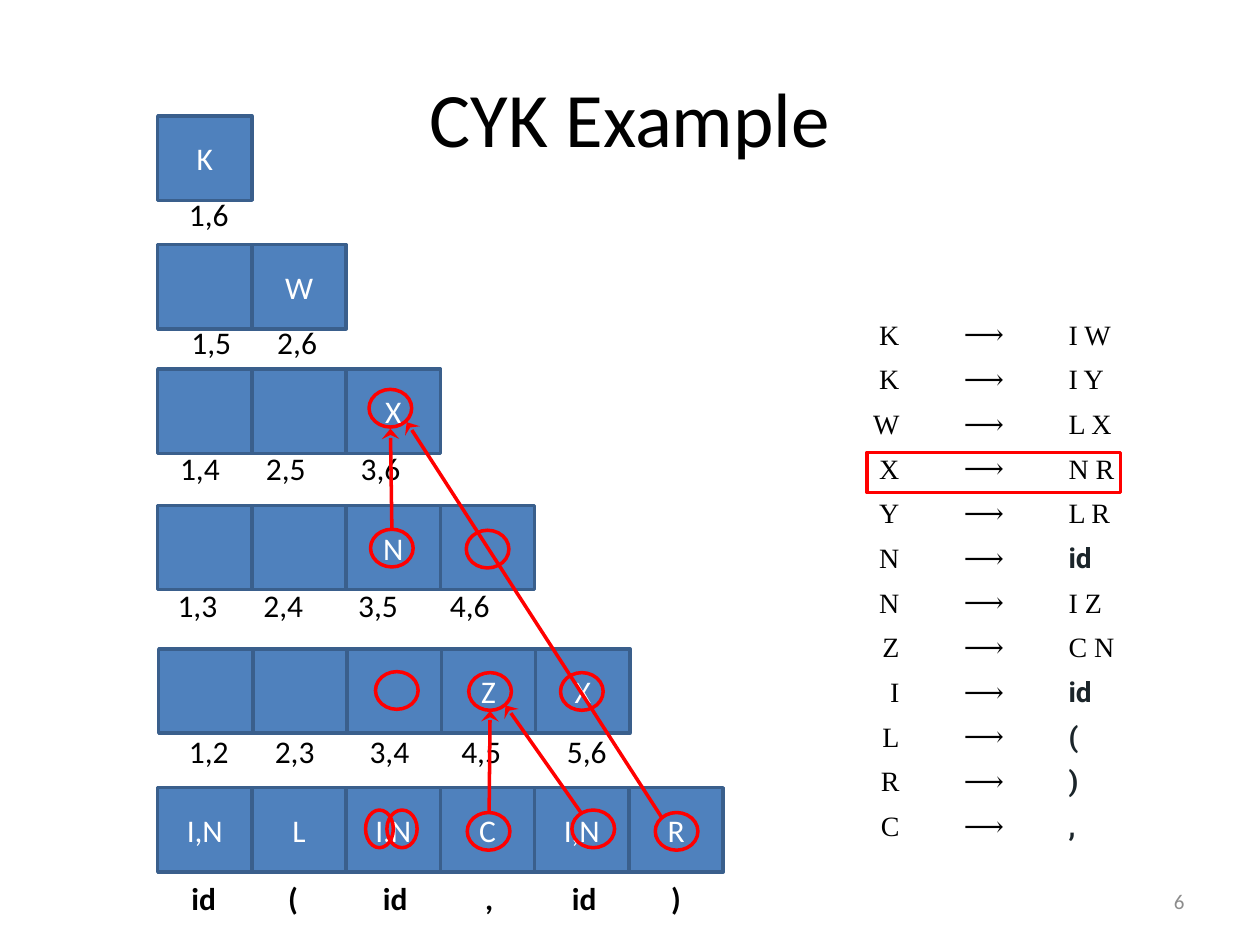
import pptx
import pptx.dml.color
import pptx.enum.shapes
import pptx.enum.text
import pptx.oxml.ns
import pptx.util
import lxml.etree

Cm = pptx.util.Cm
Pt = pptx.util.Pt
ALIGN = pptx.enum.text.PP_ALIGN
SHAPE = pptx.enum.shapes.MSO_SHAPE
MIDDLE = pptx.enum.text.MSO_ANCHOR.MIDDLE

CELL_WIDTH = 1.9
LABEL_OFFSETS = [0, 1.73, 3.64, 5.49, 7.62]

CHART_ROWS = [
    (["I,N", "L", "I,N", "C", "I,N", "R"], 3.18, 15.88, None, None),
    (["", "", "", "Z", "X"], 3.2, 13.08, 3.56, 14.63),
    (["", "", "N", ""], 3.18, 10.19, 3.33, 11.68),
    (["", "", "X"], 3.18, 7.44, 3.38, 8.92),
    (["", "W"], 3.18, 4.93, 3.61, 6.38),
    (["K"], 3.18, 2.34, 3.56, 3.81),
]
SENTENCE = [("id", 3.61, 1.02), ("(", 5.56, 0.71), ("id", 7.47, 1.02),
            (",", 9.53, 0.69), ("id", 11.28, 1.02), (")", 13.28, 0.71)]
GRAMMAR = [("K", "I W"), ("K", "I Y"), ("W", "L X"), ("X", "N R"),
           ("Y", "L R"), ("N", "id"), ("N", "I Z"), ("Z", "C N"),
           ("I", "id"), ("L", "("), ("R", ")"), ("C", ",")]
TERMINALS = {"id", "(", ")", ","}


def color(hex_string):
    return pptx.dml.color.RGBColor.from_string(hex_string)


class CykSlide:
    black, white, grey, ink = "000000", "FFFFFF", "8C8C8C", "1B252A"
    cell_fill, cell_edge, mark = "4F81BD", "3A5F8C", "FF0000"
    font = "Calibri"

    def __init__(self, slide):
        self.slide = slide
        self.canvas = slide.shapes

    def set_text(self, frame, text, size, ink, align, font=None, bold=False):
        frame.text = text
        paragraph = frame.paragraphs[0]
        paragraph.alignment = align
        for run in paragraph.runs:
            run.font.size = Pt(size)
            run.font.name = font or self.font
            run.font.bold = bold
            run.font.color.rgb = color(ink)

    def text(self, text, left, top, width, height, size, ink, align):
        frame = self.canvas.add_textbox(Cm(left), Cm(top), Cm(width), Cm(height)).text_frame
        frame.word_wrap = True
        frame.vertical_anchor = MIDDLE
        self.set_text(frame, text, size, ink, align)

    def label(self, text, left, top, width=1.32, bold=False):
        frame = self.canvas.add_textbox(Cm(left), Cm(top), Cm(width), Cm(1.02)).text_frame
        frame.word_wrap = False
        frame.auto_size = pptx.enum.text.MSO_AUTO_SIZE.SHAPE_TO_FIT_TEXT
        self.set_text(frame, text, 18, self.black, ALIGN.LEFT, bold=bold)

    def outline(self, kind, left, top, width, height, edge):
        shape = self.canvas.add_shape(kind, Cm(left), Cm(top), Cm(width), Cm(height))
        shape.shadow.inherit = False
        shape.fill.background()
        shape.line.color.rgb = color(edge)
        shape.line.width = Pt(2)
        return shape

    def cell(self, text, left, top):
        box = self.outline(SHAPE.RECTANGLE, left, top, CELL_WIDTH, 1.7, self.cell_edge)
        box.fill.solid()
        box.fill.fore_color.rgb = color(self.cell_fill)
        if text:
            box.text_frame.vertical_anchor = MIDDLE
            self.set_text(box.text_frame, text, 18, self.white, ALIGN.CENTER)

    def ring(self, left, top, width=0.86):
        self.outline(SHAPE.OVAL, left, top, width, 0.76, self.mark)

    def arrow(self, start, end):
        connector = self.canvas.add_connector(
            pptx.enum.shapes.MSO_CONNECTOR.STRAIGHT, *map(Cm, start + end))
        connector.line.color.rgb = color(self.mark)
        connector.line.width = Pt(2)
        qn = pptx.oxml.ns.qn
        properties = connector._element.spPr
        lxml.etree.SubElement(properties.find(qn("a:ln")), qn("a:tailEnd"),
                              type="stealth", w="lg", len="med")
        lxml.etree.SubElement(properties, qn("a:effectLst"))

    def grammar(self, rules, left, top, widths, row_height):
        table = self.canvas.add_table(
            len(rules), len(widths), Cm(left), Cm(top),
            Cm(sum(widths)), Cm(row_height * len(rules))).table
        table.first_row = table.horz_banding = False
        for column, width in zip(table.columns, widths):
            column.width = Cm(width)
        for row, (head, body) in enumerate(rules):
            table.rows[row].height = Cm(row_height)
            terminal = body in TERMINALS
            entries = [
                (head, self.black, ALIGN.RIGHT, "Times New Roman", False),
                ("⟶", self.black, ALIGN.CENTER, "Cambria", False),
                (body, self.ink if terminal else self.black, ALIGN.LEFT,
                 "Roboto" if terminal else "Times New Roman", terminal),
            ]
            for column, (text, ink, align, font, bold) in enumerate(entries):
                entry = table.cell(row, column)
                entry.fill.solid()
                entry.fill.fore_color.rgb = color(self.white)
                entry.vertical_anchor = MIDDLE
                entry.margin_left = entry.margin_right = Cm(0.23)
                entry.margin_top = entry.margin_bottom = Cm(0.1)
                self.set_text(entry.text_frame, text, 16, ink, align, font, bold)

    def group(self, rings, arrows):
        self.canvas = self.slide.shapes.add_group_shape().shapes
        for place in rings:
            self.ring(*place)
        for start, end in arrows:
            self.arrow(start, end)
        self.canvas = self.slide.shapes


def main():
    deck = pptx.Presentation()
    deck.slide_width, deck.slide_height = Cm(25.4), Cm(19.05)
    page = CykSlide(deck.slides.add_slide(deck.slide_layouts[6]))

    page.text("CYK Example", 1.27, 0.76, 22.86, 3.18, 44, page.black, ALIGN.CENTER)
    page.text("6", 18.21, 17.65, 5.92, 1.02, 12, page.grey, ALIGN.RIGHT)

    for symbols, left, top, _, _ in CHART_ROWS:
        for column, symbol in enumerate(symbols):
            page.cell(symbol, left + column * CELL_WIDTH, top)

    page.grammar(GRAMMAR, 15.52, 6.32, [2.84, 2.95, 2.84], 0.9)

    for token, left, width in SENTENCE:
        page.label(token, left, 17.6, width, bold=True)
    for symbols, _, _, left, top in CHART_ROWS[1:]:
        reach = len(SENTENCE) - len(symbols)
        for first, offset in enumerate(LABEL_OFFSETS[:len(symbols)], start=1):
            page.label(f"{first},{first + reach}", left + offset, top)

    page.group([(9.42, 16.38), (11.53, 16.33), (9.45, 13.56)],
               [((11.71, 16.38), (10.19, 14.22)), ((9.86, 16.38), (9.88, 14.33))])
    for place in [(7.37, 16.33, 0.56), (9.4, 10.69), (7.8, 16.33, 0.61), (7.57, 13.54),
                  (11.3, 13.56), (13.21, 16.38), (7.47, 10.67)]:
        page.ring(*place)
    page.outline(SHAPE.RECTANGLE, 17.48, 9.12, 5.11, 0.81, page.mark)
    page.group([(7.44, 7.85)],
               [((13.34, 16.48), (8.2, 8.51)), ((7.9, 10.67), (7.87, 8.64))])

    deck.save("out.pptx")


if __name__ == "__main__":
    main()
